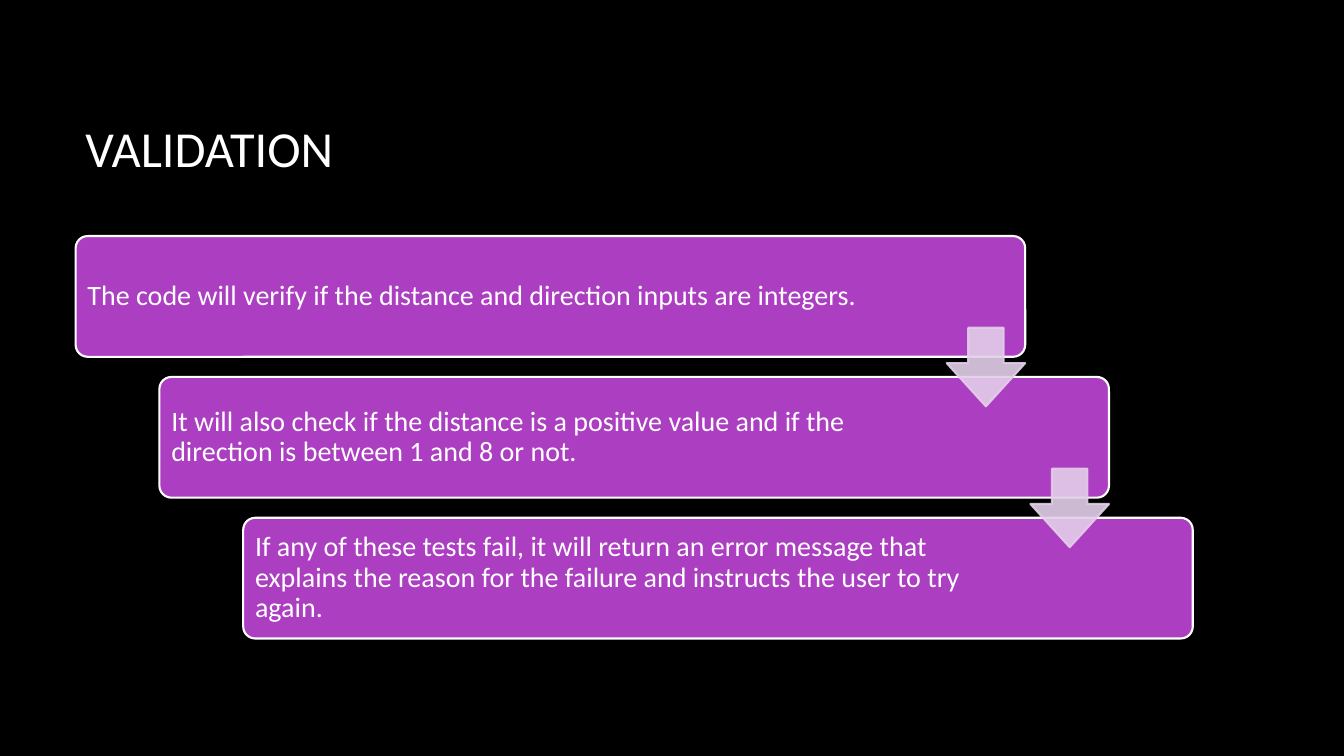
from lxml import etree
from pptx import Presentation
from pptx.dml.color import RGBColor
from pptx.enum.shapes import MSO_SHAPE
from pptx.enum.text import MSO_ANCHOR, PP_ALIGN
from pptx.oxml.ns import qn
from pptx.util import Pt

CARD = MSO_SHAPE.ROUNDED_RECTANGLE
ARROW = MSO_SHAPE.DOWN_ARROW
MIDDLE = MSO_ANCHOR.MIDDLE
LEFT = PP_ALIGN.LEFT

BLACK = RGBColor(0x00, 0x00, 0x00)
WHITE = RGBColor(0xFF, 0xFF, 0xFF)
PURPLE = RGBColor(0xAC, 0x3E, 0xC1)
LILAC = RGBColor(0xE3, 0xCE, 0xE9)

STEPS = [
    ("The code will verify if the distance and direction inputs are integers.", 585.4),
    ("It will also check if the distance is a positive value and if the "
     "direction is between 1 and 8 or not.", 557.3),
    ("If any of these tests fail, it will return an error message that explains "
     "the reason for the failure and instructs the user to try again.", 557.3),
]


def put(item, values):
    for name, value in values.items():
        setattr(item, name, value)


def add_text(shapes, box, text, size, pad, ratio):
    area = shapes.add_textbox(*map(Pt, box))
    frame = area.text_frame
    put(frame, {
        "word_wrap": True, "vertical_anchor": MIDDLE,
        "margin_left": Pt(pad[0]), "margin_right": Pt(pad[0]),
        "margin_top": Pt(pad[1]), "margin_bottom": Pt(pad[1]),
    })
    para = frame.paragraphs[0]
    put(para, {"alignment": LEFT, "line_spacing": ratio})
    run = para.add_run()
    run.text = text
    put(run.font, {"name": "Calibri", "size": Pt(size)})
    run.font.color.rgb = WHITE


def add_form(shapes, kind, box, fill, edge, adjust):
    form = shapes.add_shape(kind, *map(Pt, box))
    form.shadow.inherit = False
    form.fill.solid()
    form.fill.fore_color.rgb = fill
    form.line.color.rgb = edge
    form.line.width = Pt(1.5)
    for place, value in enumerate(adjust):
        form.adjustments[place] = value
    return form


def fade(form, percent):
    for color in form._element.spPr.iter(qn("a:srgbClr")):
        etree.SubElement(color, qn("a:alpha")).set("val", str(percent * 1000))


def add_title(slide, box):
    add_text(slide.shapes, box, "VALIDATION", 36, (7.2, 3.6), 1.0)


def add_steps(slide, box):
    left, top, width, height = box
    wide, high, side = width * 0.85, height * 0.3, 56.1
    count = len(STEPS)
    shift = (width - wide) / (count - 1)
    drop = (height - high) / (count - 1)
    group = slide.shapes.add_group_shape().shapes
    spots = [(left + i * shift, top + i * drop) for i in range(count)]
    for (x, y), (text, span) in zip(spots, STEPS):
        add_form(group, CARD, (x, y, wide, high), PURPLE, WHITE, [0.1])
        add_text(group, (x + 2.5, y + 2.5, span, high - 5), text, 20, (6, 6), 0.9)
    for x, y in spots[:-1]:
        place = (x + wide - side, y + high * 0.76, side, side)
        fade(add_form(group, ARROW, place, LILAC, LILAC, [0.45, 0.55]), 90)


def main():
    deck = Presentation()
    put(deck, {"slide_width": Pt(960), "slide_height": Pt(540)})
    slide = deck.slides.add_slide(deck.slide_layouts[6])
    slide.background.fill.solid()
    slide.background.fill.fore_color.rgb = BLACK
    add_title(slide, (54, 48, 798, 114.8))
    add_steps(slide, (54, 168.6, 798, 287.5))
    deck.save("out.pptx")


if __name__ == "__main__":
    main()
